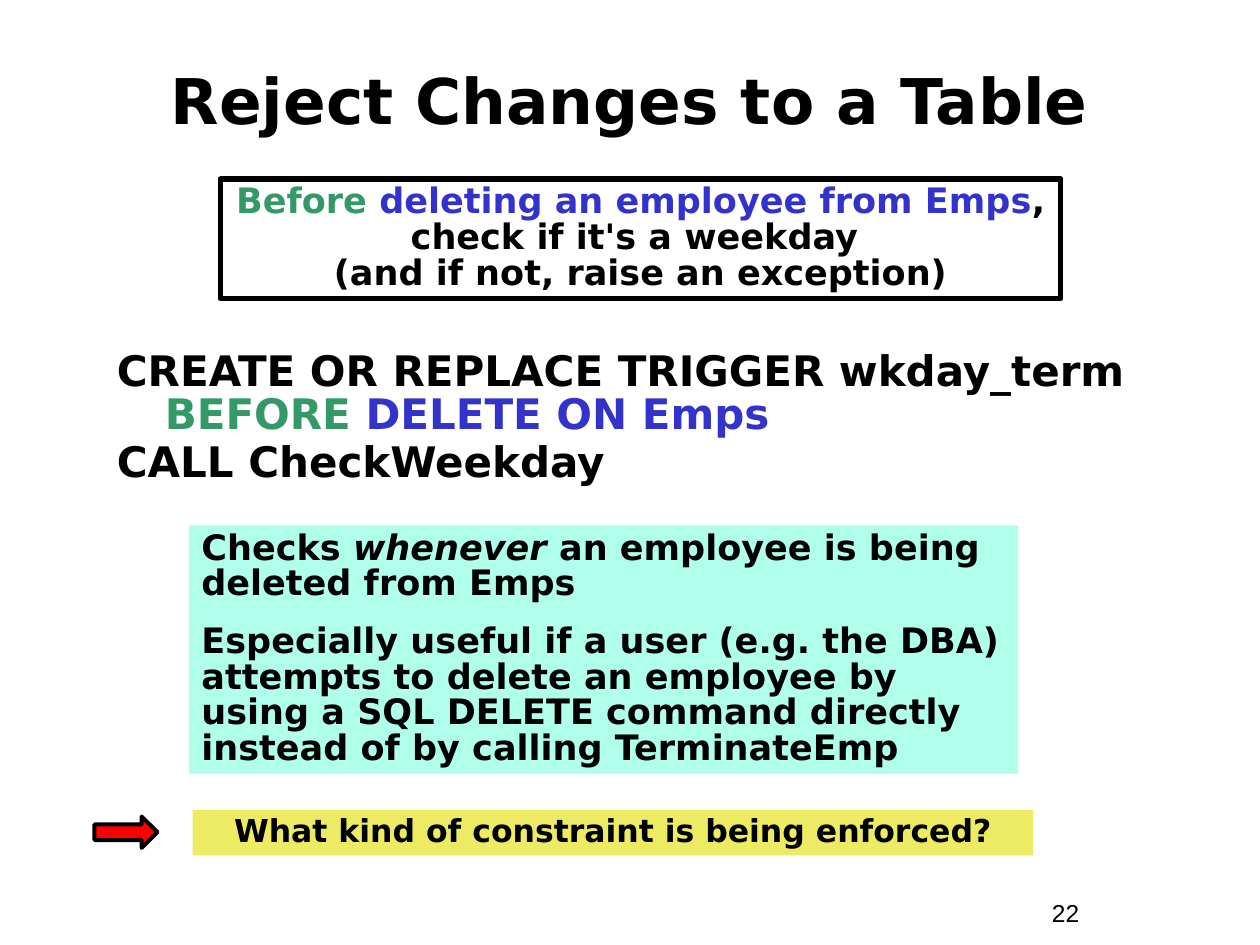
from dataclasses import dataclass

from pptx import Presentation
from pptx.dml.color import RGBColor
from pptx.enum import shapes, text
from pptx.util import Inches, Pt

INK = {
    "black": "000000",
    "green": "339966",
    "blue": "3333CC",
    "mint": "AFFFEA",
    "yellow": "EDEA63",
    "red": "FF0000",
}
LEFT, MID = text.PP_ALIGN.LEFT, text.PP_ALIGN.CENTER


@dataclass
class Part:
    """A stretch of text in one format."""
    words: str
    ink: str = "black"
    slant: bool = False


@dataclass
class Box:
    """A rectangle with text; each paragraph is a list of parts."""
    at: tuple
    paras: list
    size: float = 20
    align: int = LEFT
    gap: float = 12.5
    fill: str = ""
    line: float = 0


def color(name: str) -> RGBColor:
    return RGBColor.from_string(INK[name])


def write(frame, paras: list, *, size: float, font: str = "DejaVu Sans",
          bold: bool = True, align: int = LEFT, gap: float = 0,
          pitch: float = 1, hang: float = 0,
          anchor: int = text.MSO_ANCHOR.TOP) -> None:
    """Fill a text frame; a newline inside a part is a line break."""
    frame.word_wrap = True
    frame.auto_size = text.MSO_AUTO_SIZE.NONE
    frame.vertical_anchor = anchor
    for i, parts in enumerate(paras):
        para = frame.add_paragraph() if i else frame.paragraphs[0]
        para.alignment, para.line_spacing = align, pitch
        if i:
            para.space_before = Pt(gap)
        if hang:
            props = para._p.get_or_add_pPr()
            props.set("marL", str(Inches(hang)))
            props.set("indent", str(-Inches(hang)))
        for part in parts:
            for j, words in enumerate(part.words.split("\n")):
                if j:
                    para.add_line_break()
                if not words:
                    continue
                run = para.add_run()
                run.text = words
                run.font.size, run.font.name = Pt(size), font
                run.font.bold, run.font.italic = bold, part.slant
                run.font.color.rgb = color(part.ink)


def place(at: tuple) -> list:
    return [Inches(n) for n in at]


def shape(slide, kind: int, at: tuple, fill: str = "", line: float = 0):
    """Add a preset shape with an optional fill and black outline."""
    form = slide.shapes.add_shape(kind, *place(at))
    form.shadow.inherit = False
    if fill:
        form.fill.solid()
        form.fill.fore_color.rgb = color(fill)
    else:
        form.fill.background()
    if line:
        form.line.color.rgb = color("black")
        form.line.width = Pt(line)
    else:
        form.line.fill.background()
    return form


def draw(slide, box: Box) -> None:
    form = shape(slide, shapes.MSO_SHAPE.RECTANGLE, box.at, box.fill, box.line)
    write(form.text_frame, box.paras, size=box.size, align=box.align,
          gap=box.gap, pitch=0.85)


BOXES = [
    # Rule in plain words
    Box((1.75, 1.42, 6.67, 0.95),
        [[Part("Before ", "green"),
          Part("deleting an employee from Emps", "blue"),
          Part(", check if it's a weekday \n(and if not, raise an exception)")]],
        align=MID, line=3),
    # Remarks
    Box((1.5, 4.17, 6.58, 1.97),
        [[Part("Checks "), Part("whenever", slant=True),
          Part(" an employee is being deleted from Emps")],
         [Part("Especially useful if a user (e.g. the DBA) attempts to delete "
               "an employee by using a SQL DELETE command directly instead "
               "of by calling TerminateEmp")]],
        fill="mint"),
    # Question
    Box((1.53, 6.43, 6.67, 0.36),
        [[Part("What kind of constraint is being enforced?")]],
        size=18, align=MID, fill="yellow"),
]

CODE = [
    [Part("CREATE OR REPLACE TRIGGER wkday_term\n"),
     Part("BEFORE ", "green"), Part("DELETE ON Emps", "blue")],
    [Part("CALL CheckWeekday")],
]


def main() -> None:
    deck = Presentation()
    deck.slide_width, deck.slide_height = Inches(10), Inches(7.5)
    slide = deck.slides.add_slide(deck.slide_layouts[5])

    # Title
    title = slide.shapes.title
    title.left, title.top, title.width, title.height = place(
        (0.33, 0.33, 9.33, 0.92))
    write(title.text_frame, [[Part("Reject Changes to a Table")]], size=36,
          align=MID, anchor=text.MSO_ANCHOR.MIDDLE)

    # Trigger code
    code = slide.shapes.add_textbox(*place((0.83, 2.75, 8.5, 1.25)))
    write(code.text_frame, CODE, size=24, gap=3, pitch=0.85, hang=0.38)

    # Boxes and the arrow to the question
    for box in BOXES:
        draw(slide, box)
    shape(slide, shapes.MSO_SHAPE.RIGHT_ARROW, (0.75, 6.48, 0.5, 0.25),
          "red", 2.25)

    # Page number
    page = slide.shapes.add_textbox(*place((8.25, 7.08, 0.92, 0.34)))
    write(page.text_frame, [[Part("22")]], size=14, font="Arial", bold=False)

    deck.save("out.pptx")


if __name__ == "__main__":
    main()
